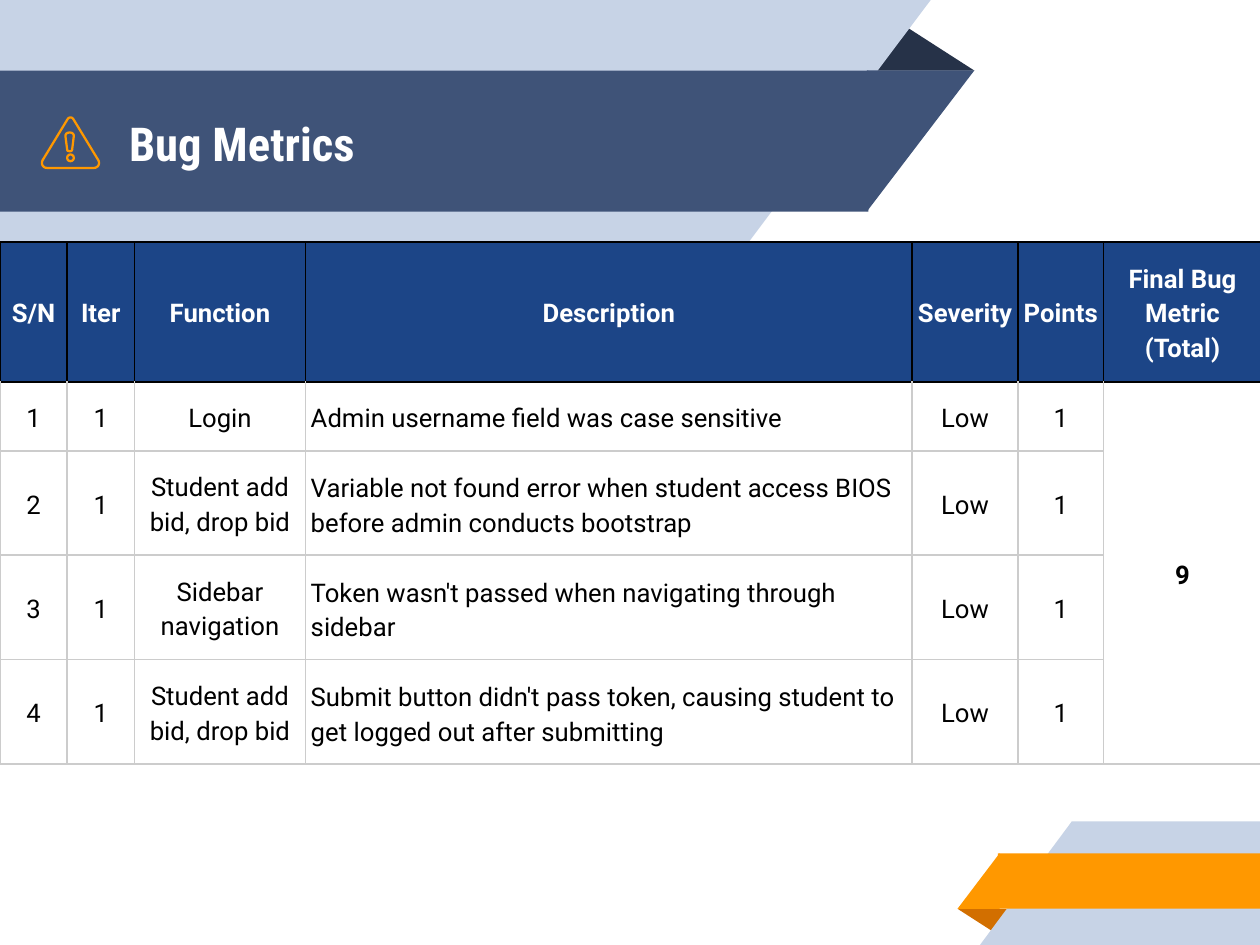
from math import cos, radians, sin

from lxml.etree import SubElement
from pptx import Presentation
from pptx.dml.color import RGBColor
from pptx.enum.shapes import MSO_SHAPE
from pptx.enum.text import MSO_ANCHOR, PP_ALIGN
from pptx.oxml.ns import qn
from pptx.util import Inches, Pt

PALE, NAVY, INK, ORANGE, RUST = "C7D3E6", "3F5378", "263248", "FF9800", "D26F00"
WHITE, BLACK, HEADER, GRID = "FFFFFF", "000000", "1C4587", "CCCCCC"
RECT, SLANT, FOLD = MSO_SHAPE.RECTANGLE, MSO_SHAPE.RIGHT_TRIANGLE, MSO_SHAPE.ISOSCELES_TRIANGLE

COLUMNS = [0.4, 0.4, 1.02, 3.61, 0.63, 0.51, 0.94]
HEADER_HEIGHT, TABLE_HEIGHT = 0.8, 3.04
DESCRIPTION, TOTAL = 3, 6
ROWS = [
    ["S/N", "Iter", "Function", "Description", "Severity", "Points", "Final Bug Metric\n(Total)"],
    ["1", "1", "Login", "Admin username field was case sensitive", "Low", "1", "9"],
    ["2", "1", "Student add bid, drop bid",
     "Variable not found error when student access BIOS before admin conducts bootstrap", "Low", "1", ""],
    ["3", "1", "Sidebar navigation",
     "Token wasn't passed when navigating through sidebar", "Low", "1", ""],
    ["4", "1", "Student add bid, drop bid",
     "Submit button didn't pass token, causing student to get logged out after submitting", "Low", "1", ""],
]


def rgb(color):
    return RGBColor.from_string(color)


def write(tf, text, size, font="Roboto", color=BLACK, bold=False, align=PP_ALIGN.LEFT, spacing=1.0):
    tf.word_wrap = True
    for i, line in enumerate(text.split("\n")):
        p = tf.add_paragraph() if i else tf.paragraphs[0]
        p.alignment, p.line_spacing = align, spacing
        r = p.add_run()
        r.text = line
        r.font.size, r.font.name, r.font.bold = Pt(size), font, bold
        r.font.color.rgb = rgb(color)


def add_block(s, kind, box, color, flip=None, rotation=0):
    sp = s.shapes.add_shape(kind, *map(Inches, box))
    sp.shadow.inherit = False
    sp.fill.solid()
    sp.fill.fore_color.rgb = rgb(color)
    sp.line.fill.background()
    sp.rotation = rotation
    if kind == FOLD:
        sp.adjustments[0] = 0.32
    if flip:
        sp._element.spPr.xfrm.set(flip, "1")


def add_ribbons(s):
    # Bottom right
    add_block(s, FOLD, (5.7, 5.41, 0.32, 0.14), RUST, rotation=180)
    add_block(s, RECT, (6.38, 4.89, 1.12, 0.74), PALE)
    add_block(s, SLANT, (5.83, 4.89, 0.55, 0.74), PALE, "flipH")
    add_block(s, RECT, (5.94, 5.08, 1.56, 0.33), ORANGE)
    add_block(s, SLANT, (5.7, 5.08, 0.25, 0.33), ORANGE, "flipH")
    # Title band
    add_block(s, FOLD, (5.16, 0.14, 0.64, 0.28), INK)
    add_block(s, RECT, (0, 0, 4.46, 1.45), PALE)
    add_block(s, SLANT, (4.45, 0, 1.09, 1.45), PALE, "flipV")
    add_block(s, RECT, (0, 0.42, 5.17, 0.84), NAVY)
    add_block(s, SLANT, (5.16, 0.42, 0.64, 0.84), NAVY, "flipV")


def add_title(s, text):
    tf = s.shapes.add_textbox(Inches(0.67), Inches(0.43), Inches(4.5), Inches(0.84)).text_frame
    tf.margin_left = tf.margin_right = tf.margin_top = tf.margin_bottom = Inches(0.1)
    tf.vertical_anchor = MSO_ANCHOR.MIDDLE
    write(tf, text, 20, font="Roboto Condensed", color=WHITE, bold=True)


def outline(arcs, steps=12):
    """Points of a closed outline through arcs (x, y, radius, from angle, to angle)."""
    points = []
    for x, y, radius, start, end in arcs:
        for i in range(steps + 1):
            a = radians(start + (end - start) * i / steps)
            points.append((Inches(x + radius * cos(a)), Inches(y + radius * sin(a))))
    return points


def add_warning_icon(s):
    triangle = [(0.42, 0.72, 0.02, 211, 329), (0.56, 0.97, 0.03, 329, 450), (0.28, 0.97, 0.03, 90, 211)]
    dot = [(0.42, 0.94, 0.02, 0, 360)]
    bar = [(0.41, 0.81, 0.02, 180, 270), (0.42, 0.81, 0.02, 270, 360),
           (0.42, 0.89, 0.01, 0, 90), (0.41, 0.89, 0.01, 90, 180)]
    first, *holes = [outline(part) for part in (triangle, dot, bar)]
    builder = s.shapes.build_freeform(*first[0])
    builder.add_line_segments(first[1:], close=True)
    for hole in holes:
        builder.move_to(*hole[0])
        builder.add_line_segments(hole[1:], close=True)
    sp = builder.convert_to_shape()
    sp.shadow.inherit = False
    sp.fill.background()
    sp.line.color.rgb = rgb(ORANGE)
    sp.line.width = Pt(0.96)


def set_borders(cell, color, top):
    tcPr = cell._tc.get_or_add_tcPr()
    for i, side in enumerate("LRTB"):
        ln = SubElement(tcPr, qn(f"a:ln{side}"), w=str(Pt(0.75)))
        fill = SubElement(ln, qn("a:solidFill"))
        SubElement(fill, qn("a:srgbClr"), val=top if side == "T" else color)
        tcPr.insert(i, ln)


def format_cell(cell, text, row, col):
    header = row == 0
    left = col == DESCRIPTION and not header
    cell.margin_left = cell.margin_right = Inches(0.03)
    cell.margin_top = cell.margin_bottom = Inches(0.1)
    cell.vertical_anchor = MSO_ANCHOR.BOTTOM if left else MSO_ANCHOR.MIDDLE
    if header:
        cell.fill.solid()
        cell.fill.fore_color.rgb = rgb(HEADER)
    else:
        cell.fill.background()
    set_borders(cell, BLACK if header else GRID, BLACK if row < 2 else GRID)
    if text:
        write(cell.text_frame, text, 11, color=WHITE if header else BLACK, bold=header or col == TOTAL,
              align=PP_ALIGN.LEFT if left else PP_ALIGN.CENTER, spacing=1.15)


def add_bug_table(s):
    frame = s.shapes.add_table(len(ROWS), len(COLUMNS), Inches(0), Inches(1.44),
                               Inches(sum(COLUMNS)), Inches(TABLE_HEIGHT))
    table = frame.table
    table.first_row = table.horz_banding = False
    for column, width in zip(table.columns, COLUMNS):
        column.width = Inches(width)
    # Body rows grow to fit their text
    for i, row in enumerate(table.rows):
        row.height = Inches(0 if i else HEADER_HEIGHT)
    frame.height = Inches(TABLE_HEIGHT)
    for i, texts in enumerate(ROWS):
        for j, text in enumerate(texts):
            format_cell(table.cell(i, j), text, i, j)
    table.cell(1, TOTAL).merge(table.cell(len(ROWS) - 1, TOTAL))


def main():
    prs = Presentation()
    prs.slide_width, prs.slide_height = Inches(7.5), Inches(45 / 8)
    s = prs.slides.add_slide(prs.slide_layouts[6])
    add_ribbons(s)
    add_title(s, "Bug Metrics")
    add_bug_table(s)
    add_warning_icon(s)
    prs.save("out.pptx")


if __name__ == "__main__":
    main()
